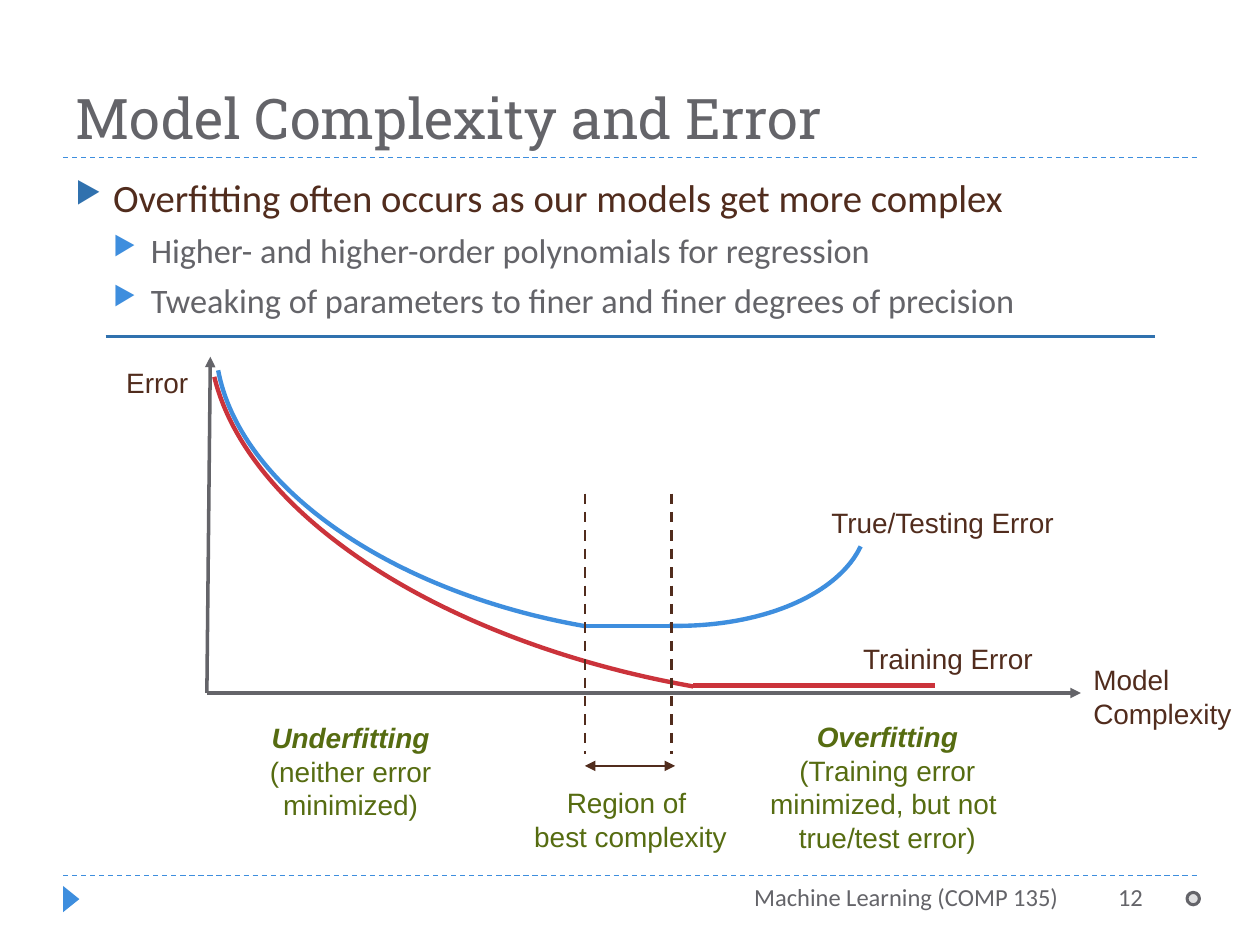
import pptx
import pptx.util
import pptx.dml.color
import pptx.enum.dml
import pptx.enum.shapes
import pptx.enum.text
import pptx.oxml.ns
import lxml.etree

Cm = pptx.util.Cm
Pt = pptx.util.Pt
RGBColor = pptx.dml.color.RGBColor
SHAPE = pptx.enum.shapes.MSO_SHAPE
ALIGN = pptx.enum.text.PP_ALIGN
ANCHOR = pptx.enum.text.MSO_ANCHOR
DASH = pptx.enum.dml.MSO_LINE.DASH
qn = pptx.oxml.ns.qn

SKY = RGBColor(0x3E, 0x8E, 0xDE)
BLUE = RGBColor(0x30, 0x71, 0xAE)
GREY = RGBColor(0x64, 0x64, 0x69)
PALE = RGBColor(0xE0, 0xE0, 0xE1)
BROWN = RGBColor(0x51, 0x2C, 0x1D)
RED = RGBColor(0xCB, 0x33, 0x3B)
GREEN = RGBColor(0x56, 0x6C, 0x11)


def add_text(slide, box, lines, font, size, color, align=ALIGN.LEFT, anchor=ANCHOR.TOP):
    """Add a wrapped text box with one paragraph per line and return its paragraphs."""
    frame = slide.shapes.add_textbox(*map(Cm, box)).text_frame
    frame.word_wrap = True
    frame.vertical_anchor = anchor
    frame.text = "\n".join(lines)
    for paragraph in frame.paragraphs:
        paragraph.alignment = align
        for run in paragraph.runs:
            run.font.name = font
            run.font.size = Pt(size)
            run.font.color.rgb = color
    return frame.paragraphs


def add_line(slide, start, end, color, width, dash=None, arrows=()):
    """Add a straight line, with arrowheads at the named ends."""
    line = slide.shapes.add_connector(
        pptx.enum.shapes.MSO_CONNECTOR.STRAIGHT, *map(Cm, (*start, *end)))
    line.line.color.rgb = color
    line.line.width = Pt(width)
    if dash:
        line.line.dash_style = dash
    properties = line._element.spPr
    for end_name in arrows:
        lxml.etree.SubElement(properties.find(qn("a:ln")), qn("a:" + end_name), type="triangle")
    lxml.etree.SubElement(properties, qn("a:effectLst"))


def add_mark(slide, kind, box, fill=None, line=None, width=1, rotation=0):
    """Add a preset shape with an optional fill and outline."""
    mark = slide.shapes.add_shape(kind, *map(Cm, box))
    mark.shadow.inherit = False
    mark.rotation = rotation
    if fill is None:
        mark.fill.background()
    else:
        mark.fill.solid()
        mark.fill.fore_color.rgb = fill
    if line is None:
        mark.line.fill.background()
    else:
        mark.line.color.rgb = line
        mark.line.width = Pt(width)
    return mark


def add_bullet(paragraph, level, color):
    """Give a paragraph a triangular bullet and a hanging indent."""
    properties = paragraph._p.get_or_add_pPr()
    properties.set("marL", str(Cm(0.76 * (level + 1))))
    properties.set("indent", str(Cm(-0.76)))
    bullet_color = lxml.etree.SubElement(properties, qn("a:buClr"))
    lxml.etree.SubElement(bullet_color, qn("a:srgbClr"), val=str(color))
    lxml.etree.SubElement(properties, qn("a:buSzPct"), val="76000")
    lxml.etree.SubElement(properties, qn("a:buChar"), char="▶")


def add_header(slide, left, top, width, height):
    """Place the title above its dashed rule."""
    add_text(slide, (left, top, width, height), ["Model Complexity and Error"],
             "Roboto Slab", 32, GREY, anchor=ANCHOR.BOTTOM)
    rule = top + height
    add_line(slide, (left, rule), (left + width, rule), SKY, 0.75, DASH.DASH)


def add_points(slide, left, top, width, height):
    """Place the bulleted points above a solid rule."""
    points = add_text(slide, (left, top, width, height), [
        "Overfitting often occurs as our models get more complex",
        "Higher- and higher-order polynomials for regression",
        "Tweaking of parameters to finer and finer degrees of precision",
    ], "Calibri", 19.6, GREY)
    for point in points:
        point.space_before = Pt(5)
    main, *details = points
    main.space_before = Pt(6)
    main.runs[0].font.size = Pt(22.1)
    main.runs[0].font.color.rgb = BROWN
    add_bullet(main, 0, BLUE)
    for detail in details:
        add_bullet(detail, 1, SKY)
    rule = top + height + 0.68
    add_line(slide, (left + 0.86, rule), (left + width - 0.84, rule), BLUE, 1.5)


def add_error_diagram(slide, left, top):
    """Draw the error curves, their axes, the best region and the labels."""

    def at(x, y):
        return left + x, top + y

    def label(x, y, width, height, lines, color=BROWN, align=ALIGN.LEFT):
        return add_text(slide, (*at(x, y), width, height), lines, "Arial", 16, color, align)

    def curve(x, y, width, height, rotation, start, color):
        arc = add_mark(slide, SHAPE.ARC, (*at(x, y), width, height),
                       line=color, width=2.5, rotation=rotation)
        arc.adjustments[0] = start
        arc.adjustments[1] = 212.14

    curve(2.24, -5.25, 22.94, 12.27, 187.9, 166.49, RED)
    curve(2.39, -4.38, 17.42, 10.13, 187.9, 165.43, SKY)

    origin = at(2.27, 6.97)
    for axis_end in (at(2.34, 0.19), at(19.89, 6.97)):
        add_line(slide, origin, axis_end, GREY, 2, arrows=("tailEnd",))
    label(19.89, 6.23, 3.78, 1.63, ["Model Complexity"])
    label(0, 0.24, 2.54, 0.94, ["Error"], align=ALIGN.CENTER)
    label(15.25, 5.8, 6.78, 0.94, ["Training Error"])
    label(14.61, 3.06, 6.78, 0.94, ["True/Testing Error"])

    best_left, best_right = 9.89, 11.71
    add_line(slide, at(12.07, 6.82), at(16.95, 6.82), RED, 2.5)
    curve(9.1, -0.88, 4.72, 8.26, 93.4, 166.49, SKY)
    add_line(slide, at(best_left, 5.62), at(best_right, 5.62), SKY, 2.5)
    for x in (best_left, best_right - 0.07):
        add_line(slide, at(x, 2.95), at(x, 8.19), BROWN, 1.5, DASH.DASH)
    add_line(slide, at(best_left, 8.44), at(best_right, 8.44), BROWN, 1.5,
             arrows=("headEnd", "tailEnd"))

    label(7.42, 8.72, 6.78, 1.63, ["Region of ", "best complexity"], GREEN, ALIGN.CENTER)
    fits = [
        (1.78, 7.4, 2.31, ["Underfitting", "(neither error", "minimized)"]),
        (12.6, 7.38, 3, ["Overfitting", "(Training error", "minimized, but not ",
                         "true/test error)"]),
    ]
    for x, y, height, lines in fits:
        heading = label(x, y, 6.78, height, lines, GREEN, ALIGN.CENTER)[0].runs[0]
        heading.font.bold = True
        heading.font.italic = True


def add_footer(slide, left, top, width):
    """Place the dashed rule, course name, page number and corner marks."""
    add_line(slide, (left, top), (left + width, top), SKY, 0.75, DASH.DASH)
    add_mark(slide, SHAPE.ISOSCELES_TRIANGLE, (left - 0.1, top + 0.31, 0.53, 0.33),
             fill=SKY, rotation=90)
    for x, text_width, text in ((8.46, 11.86, "Machine Learning (COMP 135)"),
                                (19.25, 2.77, "12")):
        add_text(slide, (left + x, top, text_width, 1.02), [text],
                 "Calibri", 14, GREY, ALIGN.RIGHT)
    add_mark(slide, SHAPE.OVAL, (left + 22.66, top + 0.34, 0.25, 0.25), PALE, GREY, 1.75)


def main():
    """Build and save the slide."""
    deck = pptx.Presentation()
    deck.slide_width, deck.slide_height = Cm(25.4), Cm(19.05)
    slide = deck.slides.add_slide(deck.slide_layouts[6])
    margin, content_width = 1.27, 22.86
    add_header(slide, margin, 0.43, content_width, 2.74)
    add_points(slide, margin, 3.38, content_width, 2.72)
    add_error_diagram(slide, 1.9, 7)
    add_footer(slide, margin, 17.65, content_width)
    deck.save("out.pptx")


if __name__ == "__main__":
    main()
